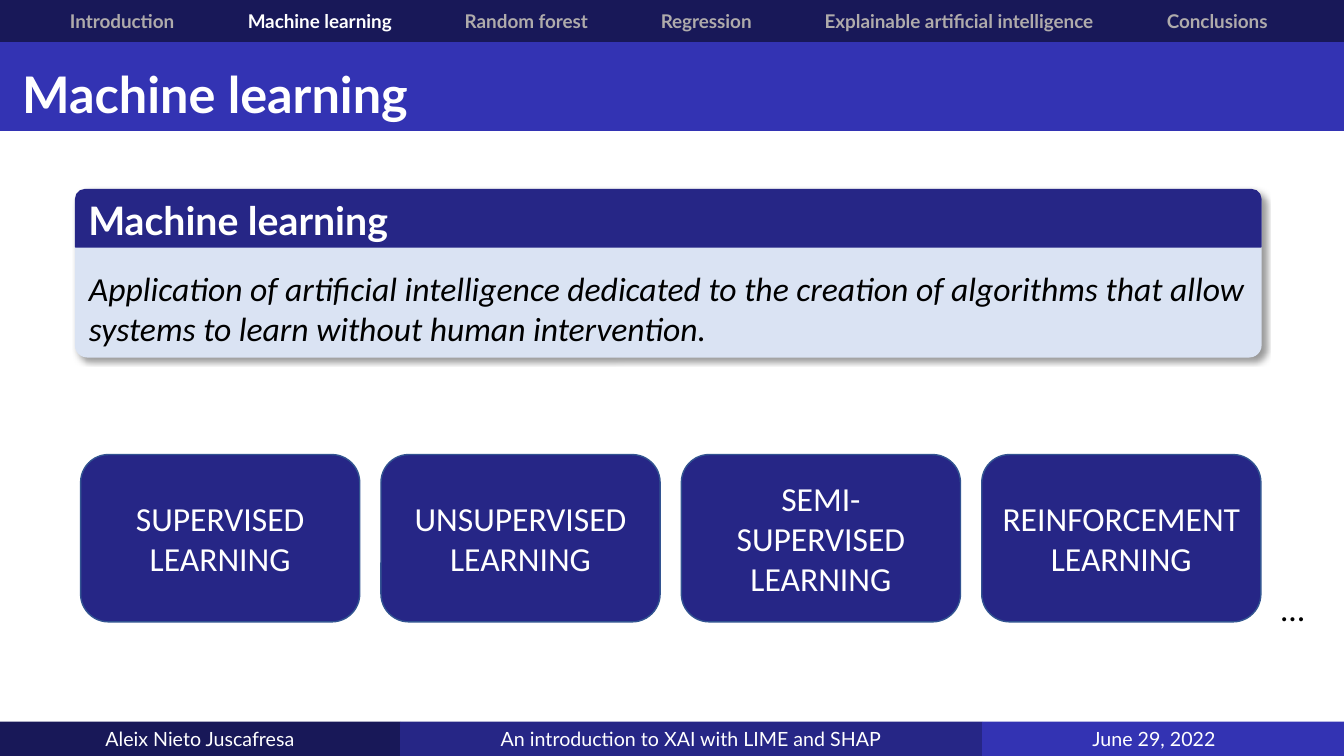
"""Build the machine learning overview slide."""
from dataclasses import dataclass

from lxml import etree
from pptx import Presentation
from pptx.dml.color import RGBColor
from pptx.enum.shapes import MSO_SHAPE
from pptx.enum.text import MSO_ANCHOR, MSO_AUTO_SIZE, PP_ALIGN
from pptx.oxml.ns import qn
from pptx.util import Pt

RECT, ROUND, TOP_ROUND = (MSO_SHAPE.RECTANGLE, MSO_SHAPE.ROUNDED_RECTANGLE,
                          MSO_SHAPE.ROUND_2_SAME_RECTANGLE)
LEFT, CENTER = PP_ALIGN.LEFT, PP_ALIGN.CENTER
TOP, MIDDLE, BOTTOM = MSO_ANCHOR.TOP, MSO_ANCHOR.MIDDLE, MSO_ANCHOR.BOTTOM
NO_FIT = MSO_AUTO_SIZE.NONE


@dataclass(frozen=True)
class Theme:
    """Colours, fonts and type sizes."""
    dark: str = "181858"
    mid: str = "262686"
    bright: str = "3333B3"
    pale: str = "DAE3F3"
    edge: str = "325491"
    muted: str = "AFABAB"
    white: str = "FFFFFF"
    black: str = "000000"
    head: str = "Lato"
    body: str = "Calibri"
    title_size: float = 36
    block_size: float = 28
    text_size: float = 24
    foot_size: float = 14
    nav_size: float = 13.5


class Deck:
    """Draws styled elements on the current slide, with lengths in points."""

    def __init__(self, prs, theme):
        self.prs, self.t = prs, theme
        self.s = prs.slides.add_slide(prs.slide_layouts[5])

    def style(self, font, color, **fmt):
        for key, value in fmt.items():
            setattr(font, key, Pt(value) if key == "size" else value)
        font.color.rgb = RGBColor.from_string(color)

    def put_text(self, sp, text, align=CENTER, frame=None, **fmt):
        tf = sp.text_frame
        settings = {"word_wrap": True, "auto_size": NO_FIT,
                    "vertical_anchor": MIDDLE, **(frame or {})}
        for key, value in settings.items():
            setattr(tf, key, value)
        p = tf.paragraphs[0]
        p.alignment = align
        r = p.add_run()
        r.text = text
        self.style(r.font, **fmt)

    def shape(self, kind, box, fill, line=None, parent=None, adj=None):
        sp = (parent or self.s).shapes.add_shape(kind, *map(Pt, box))
        sp.shadow.inherit = False
        sp.fill.solid()
        sp.fill.fore_color.rgb = RGBColor.from_string(fill)
        if line:
            sp.line.color.rgb = RGBColor.from_string(line)
            sp.line.width = Pt(1)
        else:
            sp.line.fill.background()
        if adj is not None:
            sp.adjustments[0] = adj
        return sp

    def text(self, box, text, **fmt):
        sp = self.s.shapes.add_textbox(*map(Pt, box))
        self.put_text(sp, text, **fmt)

    def title(self, box, text, **fmt):
        sp = self.s.shapes.title
        sp.left, sp.top, sp.width, sp.height = map(Pt, box)
        self.put_text(sp, text, align=LEFT, frame={"vertical_anchor": TOP}, **fmt)
        sp._element.getparent().append(sp._element)

    def nav(self, box, items, active):
        sp = self.s.shapes.add_textbox(*map(Pt, box))
        tf = sp.text_frame
        tf.margin_left = tf.margin_right = 0
        tf.word_wrap = True
        p = tf.paragraphs[0]
        tabs = etree.SubElement(p._p.get_or_add_pPr(), qn("a:tabLst"))
        for i, (label, left) in enumerate(items):
            if i:
                etree.SubElement(tabs, qn("a:tab"),
                                 pos=str(Pt(left - box[0])), algn="l")
            r = p.add_run()
            r.text = f"\t{label}" if i else label
            self.style(r.font, self.t.white if label == active else self.t.muted,
                       name=self.t.head, size=self.t.nav_size, bold=True)

    def drop_shadow(self, sp, blur, dist, angle, alpha):
        effects = sp._element.spPr.find(qn("a:effectLst"))
        outer = etree.SubElement(effects, qn("a:outerShdw"), blurRad=str(Pt(blur)),
                                 dist=str(Pt(dist)), dir=str(angle * 60000),
                                 algn="tl", rotWithShape="0")
        clr = etree.SubElement(outer, qn("a:srgbClr"), val=self.t.black)
        etree.SubElement(clr, qn("a:alpha"), val=str(alpha * 1000))

    def block(self, box, head_height, heading, text):
        t = self.t
        group = self.s.shapes.add_group_shape()
        sp = self.shape(ROUND, box, t.pale, t.pale, group, 0.07)
        self.drop_shadow(sp, blur=4, dist=3, angle=45, alpha=40)
        self.put_text(sp, text, align=LEFT, frame={"vertical_anchor": BOTTOM},
                      color=t.black, name=t.body, size=t.text_size, italic=True)
        sp = self.shape(TOP_ROUND, (*box[:3], head_height), t.mid, t.mid, group)
        self.put_text(sp, heading, align=LEFT, color=t.white, name=t.head,
                      size=t.block_size, bold=True)


def main():
    prs = Presentation()
    prs.slide_width, prs.slide_height = Pt(960), Pt(540)
    t = Theme()
    d = Deck(prs, t)

    d.shape(RECT, (0, 0, 960, 30.24), t.dark)
    d.shape(RECT, (0, 30.24, 960, 62.64), t.bright, t.bright)
    d.title((8.64, 41.76, 900, 51), "Machine learning", color=t.white,
            name=t.head, size=t.title_size, bold=True)
    d.nav((50, 3.6, 900, 23.8),
          [("Introduction", 50), ("Machine learning", 177),
           ("Random forest", 332), ("Regression", 472),
           ("Explainable artificial intelligence", 589), ("Conclusions", 833.5)],
          active="Machine learning")

    d.block((54, 135.4, 846.7, 119.5), 41, "Machine learning",
            "Application of artificial intelligence dedicated to the creation of "
            "algorithms that allow systems to learn without human intervention.")

    plain = {"name": t.body, "size": t.text_size}
    kinds = ("SUPERVISED", "UNSUPERVISED", "SEMI-SUPERVISED", "REINFORCEMENT")
    for i, kind in enumerate(kinds):
        sp = d.shape(ROUND, (57.6 + i * 214.56, 324.7, 199.4, 119.5), t.mid, t.edge)
        d.put_text(sp, f"{kind} LEARNING", color=t.white, **plain)
    d.text((908, 416.2, 31.7, 36), "…", align=LEFT, frame={"word_wrap": False},
           color=t.black, **plain)

    left = 0
    for text, width, fill, inset in (
            ("Aleix Nieto Juscafresa", 285.8, t.dark, 7.2),
            ("An introduction to XAI with LIME and SHAP", 415.7, t.mid, 7.2),
            ("June 29, 2022", 258.5, t.bright, 20)):
        sp = d.shape(RECT, (left, 515.5, width, 24.5), fill)
        d.put_text(sp, text, frame={"margin_right": Pt(inset)}, color=t.white,
                   name=t.head, size=t.foot_size)
        left += width

    prs.save("out.pptx")


if __name__ == "__main__":
    main()
